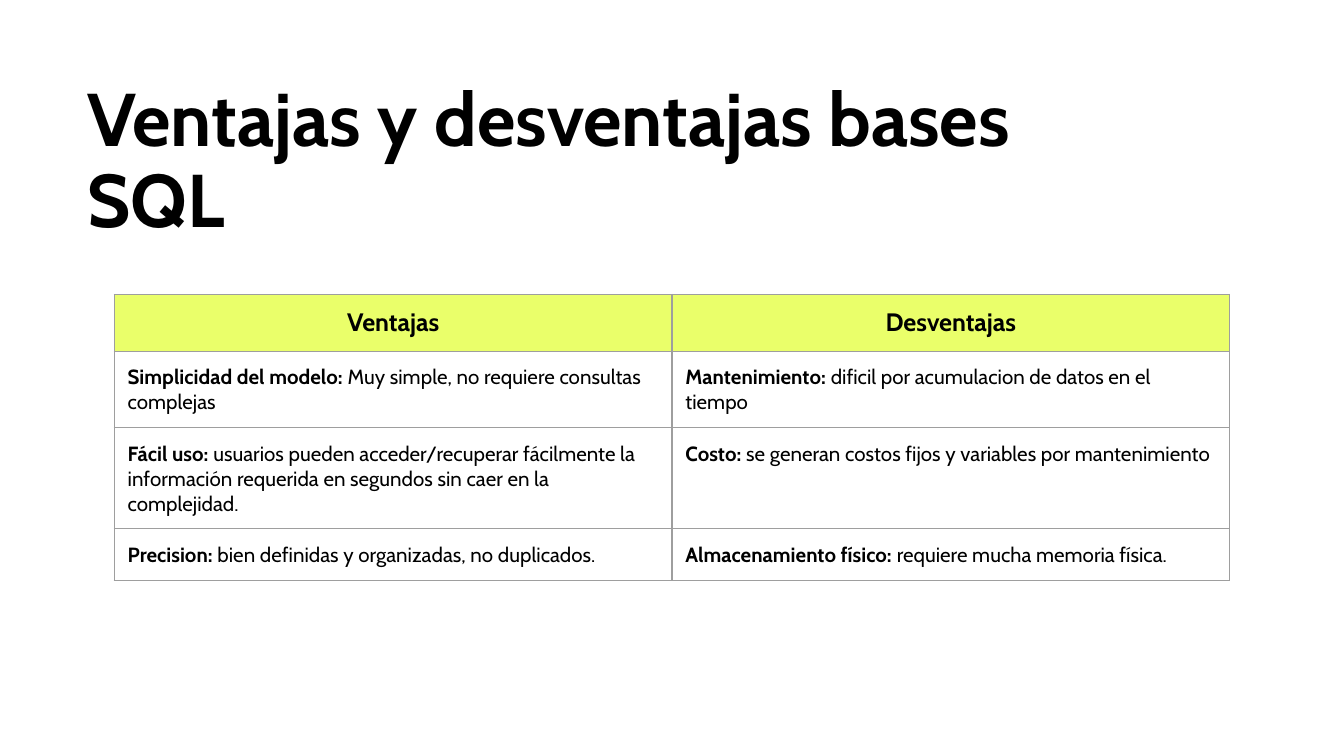
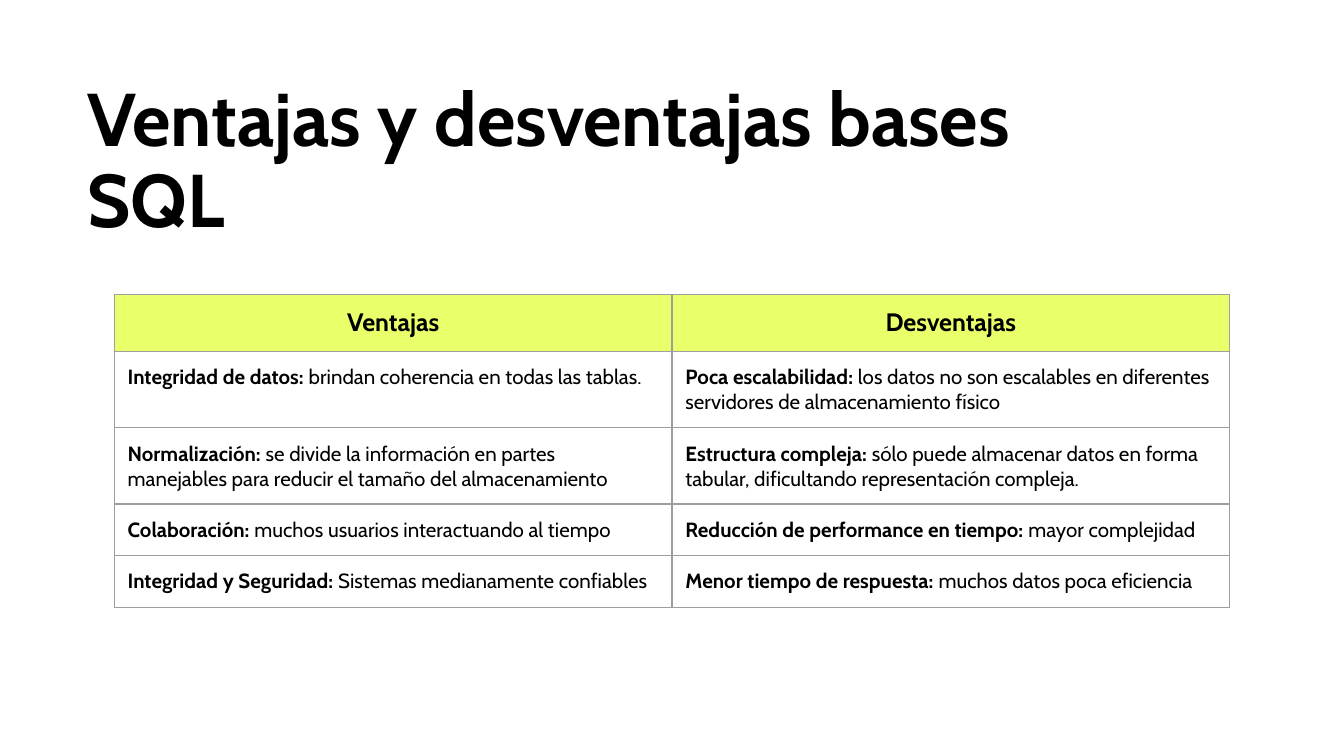
from dataclasses import dataclass

from lxml.etree import SubElement as Sub
from pptx import Presentation
from pptx.dml.color import RGBColor as RGB
from pptx.enum.text import MSO_ANCHOR as Anchor, MSO_AUTO_SIZE as Fit, PP_ALIGN as Align
from pptx.oxml.ns import qn
from pptx.util import Inches, Pt

COLORS = {"ink": "000000", "head": "EAFF6A", "page": "FFFFFF", "line": "9E9E9E"}
FONT = "Cabin"

# Square grid: ten columns across a 16:9 slide
WIDTH = Inches(10)
HEIGHT = WIDTH * 9 // 16
UNIT = WIDTH / 10
PAD = 0.1
TITLE = "Ventajas y desventajas bases SQL"
HEADS = ("Ventajas", "Desventajas")


@dataclass(frozen=True)
class Point:
    term: str
    text: str


@dataclass(frozen=True)
class Page:
    span: float  # title width in columns
    rows: list[float]  # body row heights
    points: list[tuple[Point, Point]]
    fill: str | None = None  # body cell fill


PAGES = [
    Page(7.37, [0.51, 0.51, 0.34], [
        (Point("Simplicidad del modelo:", "Muy simple, no requiere consultas complejas"),
         Point("Mantenimiento:", "dificil por acumulacion de datos en el tiempo")),
        (Point("Fácil uso:", "usuarios pueden acceder/recuperar fácilmente la "
               "información requerida en segundos sin caer en la complejidad."),
         Point("Costo:", "se generan costos fijos y variables por mantenimiento")),
        (Point("Precision:", "bien definidas y organizadas, no duplicados."),
         Point("Almacenamiento físico:", "requiere mucha memoria física.")),
    ], fill="page"),
    Page(7.42, [0.51, 0.51, 0.34, 0.34], [
        (Point("Integridad de datos:", "brindan coherencia en todas las tablas."),
         Point("Poca escalabilidad:", "los datos no son escalables en diferentes "
               "servidores de almacenamiento físico")),
        (Point("Normalización:", "se divide la información en partes manejables "
               "para reducir el tamaño del almacenamiento"),
         Point("Estructura compleja:", "sólo puede almacenar datos en forma tabular, "
               "dificultando representación compleja.")),
        (Point("Colaboración:", "muchos usuarios interactuando al tiempo"),
         Point("Reducción de performance en tiempo:", "mayor complejidad")),
        (Point("Integridad y Seguridad:", "Sistemas medianamente confiables"),
         Point("Menor tiempo de respuesta:", "muchos datos poca eficiencia")),
    ]),
]


def grid(count: float) -> int:
    return round(count * UNIT)


def color(name: str) -> RGB:
    return RGB.from_string(COLORS[name])


def style(run, size: float, bold: bool) -> None:
    font = run.font
    font.name, font.size, font.bold = FONT, Pt(size), bold
    font.color.rgb = color("ink")


def pad(box) -> None:
    box.margin_left = box.margin_right = box.margin_top = box.margin_bottom = grid(PAD)


def border(cell) -> None:
    props = cell._tc.get_or_add_tcPr()
    for side in ("lnL", "lnR", "lnT", "lnB"):
        line = Sub(props, qn(f"a:{side}"), w=str(Pt(0.75)))
        Sub(Sub(line, qn("a:solidFill")), qn("a:srgbClr"), val=COLORS["line"])


def paint(cell, fill: str | None) -> None:
    pad(cell)
    border(cell)
    if fill:
        cell.fill.solid()
        cell.fill.fore_color.rgb = color(fill)
    else:
        cell.fill.background()


def add_title(slide, span: float) -> None:
    title = slide.shapes.title
    title.left, title.top = grid(0.55), grid(0.51)
    title.width, title.height = grid(span), grid(1.41)
    frame = title.text_frame
    frame.text = TITLE
    frame.word_wrap, frame.auto_size = True, Fit.SHAPE_TO_FIT_TEXT
    frame.vertical_anchor = Anchor.TOP
    pad(frame)
    para = frame.paragraphs[0]
    para.alignment, para.line_spacing = Align.LEFT, 0.9
    style(para.runs[0], 40, True)


def add_table(slide, page: Page) -> None:
    sizes = [0.42, *page.rows]
    table = slide.shapes.add_table(len(sizes), len(HEADS), grid(0.85), grid(2.19),
                                   grid(8.3), grid(sum(sizes))).table
    table.first_row = table.horz_banding = False
    for row, size in zip(table.rows, sizes):
        row.height = grid(size)

    # Heading row
    for col, head in enumerate(HEADS):
        cell = table.cell(0, col)
        paint(cell, "head")
        cell.text_frame.text = head
        para = cell.text_frame.paragraphs[0]
        para.alignment = Align.CENTER
        style(para.runs[0], 13.5, True)

    # Bold term and plain text in each body cell
    for row, pair in enumerate(page.points, 1):
        for col, point in enumerate(pair):
            cell = table.cell(row, col)
            paint(cell, page.fill)
            para = cell.text_frame.paragraphs[0]
            for text, bold in ((f"{point.term} ", True), (point.text, False)):
                run = para.add_run()
                run.text = text
                style(run, 11, bold)


def main() -> None:
    deck = Presentation()
    deck.slide_width, deck.slide_height = WIDTH, HEIGHT
    for page in PAGES:
        slide = deck.slides.add_slide(deck.slide_layouts[5])
        back = slide.background.fill
        back.solid()
        back.fore_color.rgb = color("page")
        add_title(slide, page.span)
        add_table(slide, page)
    deck.save("out.pptx")


if __name__ == "__main__":
    main()
